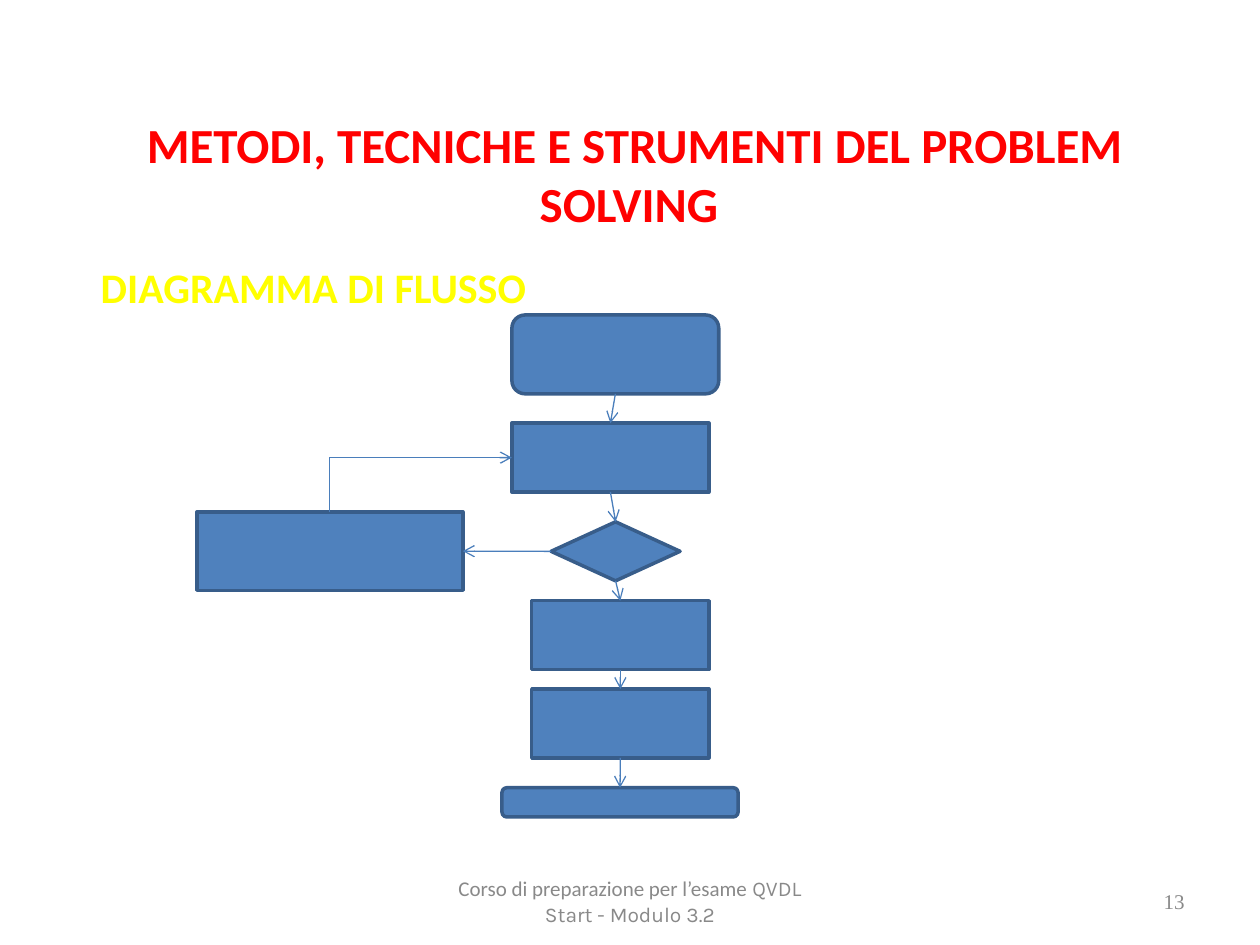
from dataclasses import dataclass

from lxml import etree
from pptx import Presentation, util as u
from pptx.dml.color import RGBColor
from pptx.enum import shapes, text
from pptx.oxml import ns

BLUE = RGBColor(0x4F, 0x81, 0xBD)
NAVY = RGBColor(0x38, 0x5D, 0x8A)
ARROW = RGBColor(0x4A, 0x7E, 0xBB)
RED = RGBColor(0xFF, 0x00, 0x00)
YELLOW = RGBColor(0xFF, 0xFF, 0x00)
GREY = RGBColor(0x89, 0x89, 0x89)

TERMINAL = shapes.MSO_SHAPE.FLOWCHART_ALTERNATE_PROCESS
PROCESS = shapes.MSO_SHAPE.FLOWCHART_PROCESS
DECISION = shapes.MSO_SHAPE.FLOWCHART_DECISION
TOP, LEFT, BOTTOM, RIGHT = range(4)


@dataclass(frozen=True)
class Node:
    name: str
    kind: shapes.MSO_SHAPE
    left: float
    top: float
    width: float
    height: float


@dataclass(frozen=True)
class Link:
    start: str
    start_site: int
    end: str
    end_site: int
    bent: bool = False


@dataclass(frozen=True)
class Run:
    text: str
    font: str
    size: int
    color: RGBColor
    bold: bool = False


@dataclass(frozen=True)
class Para:
    runs: tuple[Run, ...]
    align: text.PP_ALIGN
    before: int = 0


NODES = (
    Node("start", TERMINAL, 10.32, 6.35, 4.17, 1.59),
    Node("input", PROCESS, 10.32, 8.53, 3.97, 1.39),
    Node("choice", DECISION, 11.11, 10.52, 2.6, 1.19),
    Node("step", PROCESS, 10.72, 12.11, 3.57, 1.39),
    Node("output", PROCESS, 10.72, 13.89, 3.57, 1.39),
    Node("end", TERMINAL, 10.12, 15.88, 4.76, 0.59),
    Node("retry", PROCESS, 3.97, 10.32, 5.36, 1.58),
)
MAIN_FLOW = ("start", "input", "choice", "step", "output", "end")
LINKS = tuple(Link(a, BOTTOM, b, TOP) for a, b in zip(MAIN_FLOW, MAIN_FLOW[1:])) + (
    Link("choice", LEFT, "retry", RIGHT),
    Link("retry", TOP, "input", LEFT, bent=True),
)


def add_text(s, left: float, top: float, width: float, height: float,
             paras: tuple[Para, ...], anchor: text.MSO_ANCHOR) -> None:
    tf = s.shapes.add_textbox(*map(u.Cm, (left, top, width, height))).text_frame
    tf.word_wrap = True
    tf.vertical_anchor = anchor
    for i, para in enumerate(paras):
        p = tf.add_paragraph() if i else tf.paragraphs[0]
        p.alignment = para.align
        p.space_before = u.Pt(para.before)
        for run in para.runs:
            r = p.add_run()
            r.text = run.text
            r.font.name = run.font
            r.font.size = u.Pt(run.size)
            r.font.bold = run.bold
            r.font.color.rgb = run.color


def add_node(s, node: Node):
    sp = s.shapes.add_shape(
        node.kind, *map(u.Cm, (node.left, node.top, node.width, node.height)))
    sp.shadow.inherit = False
    sp.fill.solid()
    sp.fill.fore_color.rgb = BLUE
    sp.line.color.rgb = NAVY
    sp.line.width = u.Pt(2)
    return sp


def bend(cxn) -> None:
    """Turn a connector into a single elbow that rises first and then runs right."""
    left, top, width, height = cxn.left, cxn.top, cxn.width, cxn.height
    cxn.left = left + (width - height) // 2
    cxn.top = top + (height - width) // 2
    cxn.width, cxn.height = height, width
    sp_pr = cxn._element.spPr
    xfrm = sp_pr.find(ns.qn("a:xfrm"))
    xfrm.set("rot", "16200000")
    xfrm.set("flipV", "0")
    sp_pr.find(ns.qn("a:prstGeom")).set("prst", "bentConnector2")


def add_link(s, link: Link, nodes: dict) -> None:
    kind = shapes.MSO_CONNECTOR.ELBOW if link.bent else shapes.MSO_CONNECTOR.STRAIGHT
    cxn = s.shapes.add_connector(kind, 0, 0, 0, 0)
    cxn.begin_connect(nodes[link.start], link.start_site)
    cxn.end_connect(nodes[link.end], link.end_site)
    if link.bent:
        bend(cxn)
    cxn.line.color.rgb = ARROW
    cxn.line.width = u.Pt(0.75)
    etree.SubElement(cxn.line._get_or_add_ln(), ns.qn("a:tailEnd"), type="arrow")
    etree.SubElement(cxn._element.spPr, ns.qn("a:effectLst"))


def main() -> None:
    prs = Presentation()
    prs.slide_width, prs.slide_height = u.Cm(25.4), u.Cm(19.05)
    s = prs.slides.add_slide(prs.slide_layouts[6])

    al = text.PP_ALIGN
    number = Para((Run("13", "Times New Roman", 12, GREY),), al.RIGHT)
    footer = Para((Run("Corso di preparazione per l’esame", "Calibri", 12, GREY),
                   Run(" QVDL Start - Modulo 3.2", "Karla", 12, GREY)), al.CENTER)
    title = Para((Run("METODI, TECNICHE E STRUMENTI DEL PROBLEM SOLVING ",
                      "Calibri", 28, RED, True),), al.CENTER)
    heading = Para((Run("DIAGRAMMA DI FLUSSO", "Calibri", 24, YELLOW, True),),
                   al.JUSTIFY, 17)
    add_text(s, 18.2, 17.66, 5.93, 1.01, (number,), text.MSO_ANCHOR.MIDDLE)
    add_text(s, 8.68, 17.66, 8.04, 1.01, (footer,), text.MSO_ANCHOR.MIDDLE)
    add_text(s, 1.78, 2.18, 22.02, 13.49, (title, heading), text.MSO_ANCHOR.TOP)

    nodes = {node.name: add_node(s, node) for node in NODES}
    for link in LINKS:
        add_link(s, link, nodes)
    prs.save("out.pptx")


if __name__ == "__main__":
    main()
